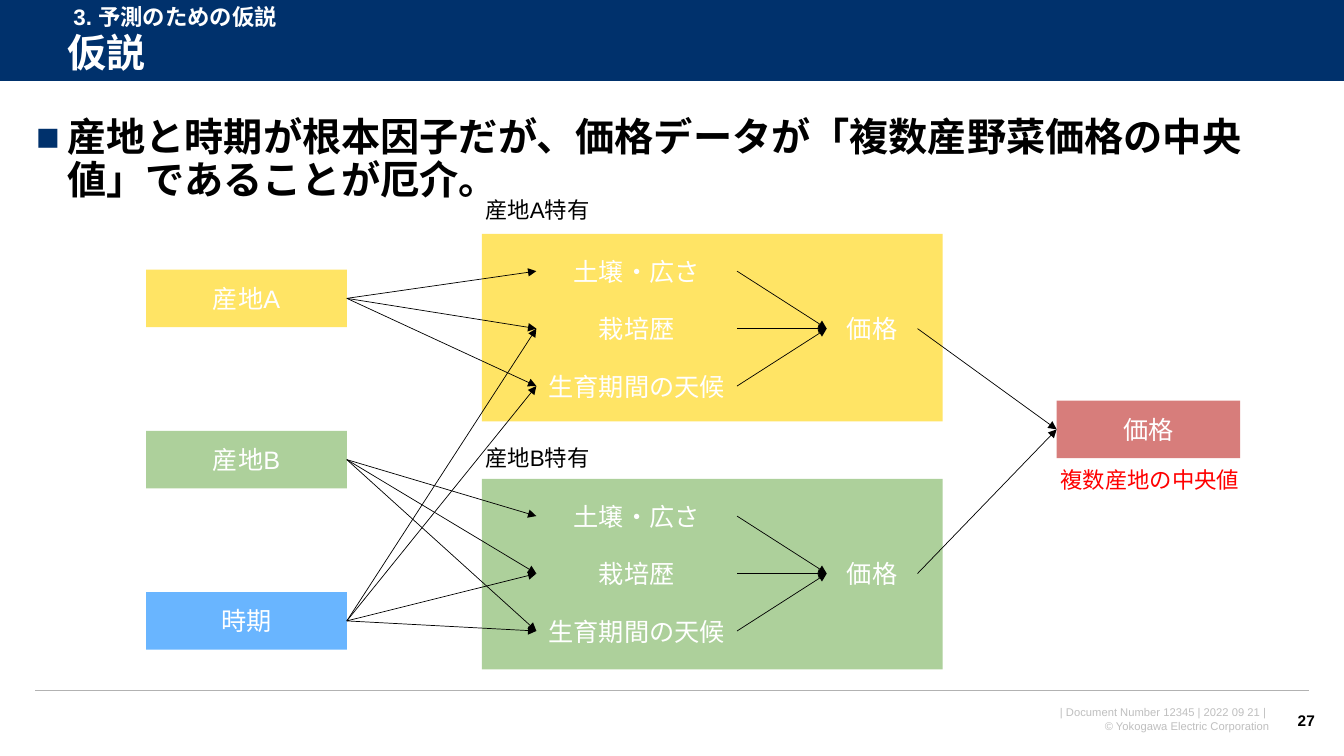
from pptx import Presentation
from pptx.dml.color import RGBColor
from pptx.enum.shapes import MSO_CONNECTOR, MSO_SHAPE
from pptx.enum.text import MSO_ANCHOR as Anchor, PP_ALIGN as Align
from pptx.oxml.ns import qn
from pptx.util import Inches, Pt
from lxml.etree import SubElement

NAVY = RGBColor(0x00, 0x31, 0x6C)
WHITE = RGBColor(0xFF, 0xFF, 0xFF)
BLACK = RGBColor(0x00, 0x00, 0x00)
GREY = RGBColor(0xB2, 0xB2, 0xB2)
FOOTER_GREY = RGBColor(0xBF, 0xBF, 0xBF)
YELLOW = RGBColor(0xFF, 0xE4, 0x65)
GREEN = RGBColor(0xAD, 0xD0, 0x9B)
BLUE = RGBColor(0x2A, 0x97, 0xFF)
BRICK = RGBColor(0xC7, 0x46, 0x43)
RED = RGBColor(0xFF, 0x00, 0x00)

FONT = "Arial"
BOX_HEIGHT = 0.57
SOURCE_LEFT, FACTOR_LEFT, BOX_WIDTH = 1.45, 5.32, 1.99
PRICE_LEFT, PRICE_WIDTH = 8.2, 0.9
RESULT_LEFT, RESULT_WIDTH, RESULT_MIDDLE = 10.48, 1.82, 4.26
FACTORS = ["土壌・広さ", "栽培歴", "生育期間の天候"]
# Region name, colour, middle of its source box, middle of its panel rows,
# panel top, panel height, caption top
REGIONS = [
    ("産地B", GREEN, 4.56, 5.69, 4.75, 1.89, 4.36),
    ("産地A", YELLOW, 2.96, 3.26, 2.32, 1.86, 1.9),
]
SEASON_MIDDLE = 6.16


def write(shape, text, size, color, bold=False, align=Align.LEFT,
          anchor=Anchor.TOP, wrap=True):
    frame = shape.text_frame
    frame.text = text
    frame.word_wrap = wrap
    frame.vertical_anchor = anchor
    for paragraph in frame.paragraphs:
        paragraph.alignment = align
        font = paragraph.font
        font.name, font.size, font.bold = FONT, Pt(size), bold
        font.color.rgb = color


def add_text(slide, box, text, size, color, **style):
    shape = slide.shapes.add_textbox(*map(Inches, box))
    write(shape, text, size, color, **style)
    return shape.text_frame.paragraphs[0]


def add_box(slide, box, fill, text="", opacity=100):
    shape = slide.shapes.add_shape(MSO_SHAPE.RECTANGLE, *map(Inches, box))
    shape.shadow.inherit = False
    shape.fill.solid()
    shape.fill.fore_color.rgb = fill
    shape.line.fill.background()
    if opacity < 100:
        color = shape.fill._xPr.find(".//" + qn("a:srgbClr"))
        SubElement(color, qn("a:alpha"), val=str(opacity * 1000))
    if text:
        write(shape, text, 18, WHITE, align=Align.CENTER, anchor=Anchor.MIDDLE)


def add_line(slide, start, end, color=BLACK, width=0.5, arrow=True):
    line = slide.shapes.add_connector(
        MSO_CONNECTOR.STRAIGHT, *map(Inches, start + end))
    line.line.color.rgb = color
    line.line.width = Pt(width)
    if arrow:
        SubElement(line.line._get_or_add_ln(), qn("a:tailEnd"), type="triangle")
    SubElement(line._element.spPr, qn("a:effectLst"))


def add_bullet(paragraph, mark, color, indent):
    properties = paragraph._p.get_or_add_pPr()
    properties.set("marL", str(Inches(indent)))
    properties.set("indent", str(-Inches(indent)))
    bullet_color = SubElement(properties, qn("a:buClr"))
    SubElement(bullet_color, qn("a:srgbClr"), val=str(color))
    SubElement(properties, qn("a:buFont"), typeface=FONT)
    SubElement(properties, qn("a:buChar"), char=mark)


def centred_box(left, middle, width):
    return left, middle - BOX_HEIGHT / 2, width, BOX_HEIGHT


def factor_middles(middle):
    return [middle + (row - 1) * BOX_HEIGHT for row in range(len(FACTORS))]


def add_frame(slide):
    add_text(slide, (9.48, 6.95, 3.21, 0.37),
             "| Document Number 12345 | 2022 09 21 | \n"
             "© Yokogawa Electric Corporation",
             8, FOOTER_GREY, align=Align.RIGHT)
    add_box(slide, (0, 0, 13.33, 0.81), NAVY)
    add_line(slide, (0, 0.81), (13.33, 0.81), WHITE, 0.75, arrow=False)
    add_line(slide, (0.35, 6.85), (12.98, 6.85), GREY, 1, arrow=False)
    add_text(slide, (12.7, 6.95, 0.44, 0.4), "27", 11, BLACK, bold=True,
             align=Align.RIGHT, anchor=Anchor.MIDDLE, wrap=False)


def add_headings(slide):
    title = add_text(slide, (0.57, 0.26, 12.47, BOX_HEIGHT), "仮説", 28, WHITE,
                     bold=True, anchor=Anchor.MIDDLE)
    title.line_spacing = 0.9
    add_text(slide, (0.63, -0.02, 3.1, 0.37), "3. 予測のための仮説", 16, WHITE,
             bold=True)
    message = add_text(
        slide, (0.26, 1.12, 12.78, BOX_HEIGHT),
        "産地と時期が根本因子だが、価格データが「複数産野菜価格の中央値」であることが厄介。",
        28, BLACK, bold=True)
    message.line_spacing = 0.9
    add_bullet(message, "■", NAVY, 0.31)


def add_region(slide, name, color, source, middle, top, height, caption_top):
    centred = {"align": Align.CENTER, "anchor": Anchor.MIDDLE}
    add_box(slide, (4.78, top, 4.57, height), color)
    add_box(slide, centred_box(SOURCE_LEFT, source, BOX_WIDTH), color, name)
    for factor, row in zip(FACTORS, factor_middles(middle)):
        add_text(slide, centred_box(FACTOR_LEFT, row, BOX_WIDTH), factor, 18,
                 WHITE, **centred)
    add_text(slide, centred_box(PRICE_LEFT, middle, PRICE_WIDTH), "価格", 18,
             WHITE, **centred)
    add_text(slide, (4.66, caption_top, 1.34, 0.37), name + "特有", 16, BLACK,
             align=Align.CENTER, wrap=False)


def add_region_arrows(slide, source, middle):
    source_right = SOURCE_LEFT + BOX_WIDTH
    rows = factor_middles(middle)
    for row in rows:
        add_line(slide, (source_right, source), (FACTOR_LEFT, row))
        add_line(slide, (FACTOR_LEFT + BOX_WIDTH, row), (PRICE_LEFT, middle))
    # The season affects every factor but the soil
    for row in rows[1:]:
        add_line(slide, (source_right, SEASON_MIDDLE), (FACTOR_LEFT, row))
    add_line(slide, (PRICE_LEFT + PRICE_WIDTH, middle),
             (RESULT_LEFT, RESULT_MIDDLE))


def main():
    presentation = Presentation()
    presentation.slide_width = Inches(13.33)
    presentation.slide_height = Inches(7.5)
    slide = presentation.slides.add_slide(presentation.slide_layouts[6])

    add_frame(slide)
    add_headings(slide)

    # Sources, region panels and the final price
    for region in REGIONS:
        add_region(slide, *region)
    add_box(slide, centred_box(SOURCE_LEFT, SEASON_MIDDLE, BOX_WIDTH), BLUE,
            "時期", opacity=70)
    add_box(slide, centred_box(RESULT_LEFT, RESULT_MIDDLE, RESULT_WIDTH), BRICK,
            "価格", opacity=70)
    add_text(slide, (10.33, 4.58, 2.15, 0.37), "複数産地の中央値", 16, RED,
             align=Align.CENTER)

    # Causal arrows
    for _, _, source, middle, *_ in REGIONS:
        add_region_arrows(slide, source, middle)

    presentation.save("out.pptx")


if __name__ == "__main__":
    main()
